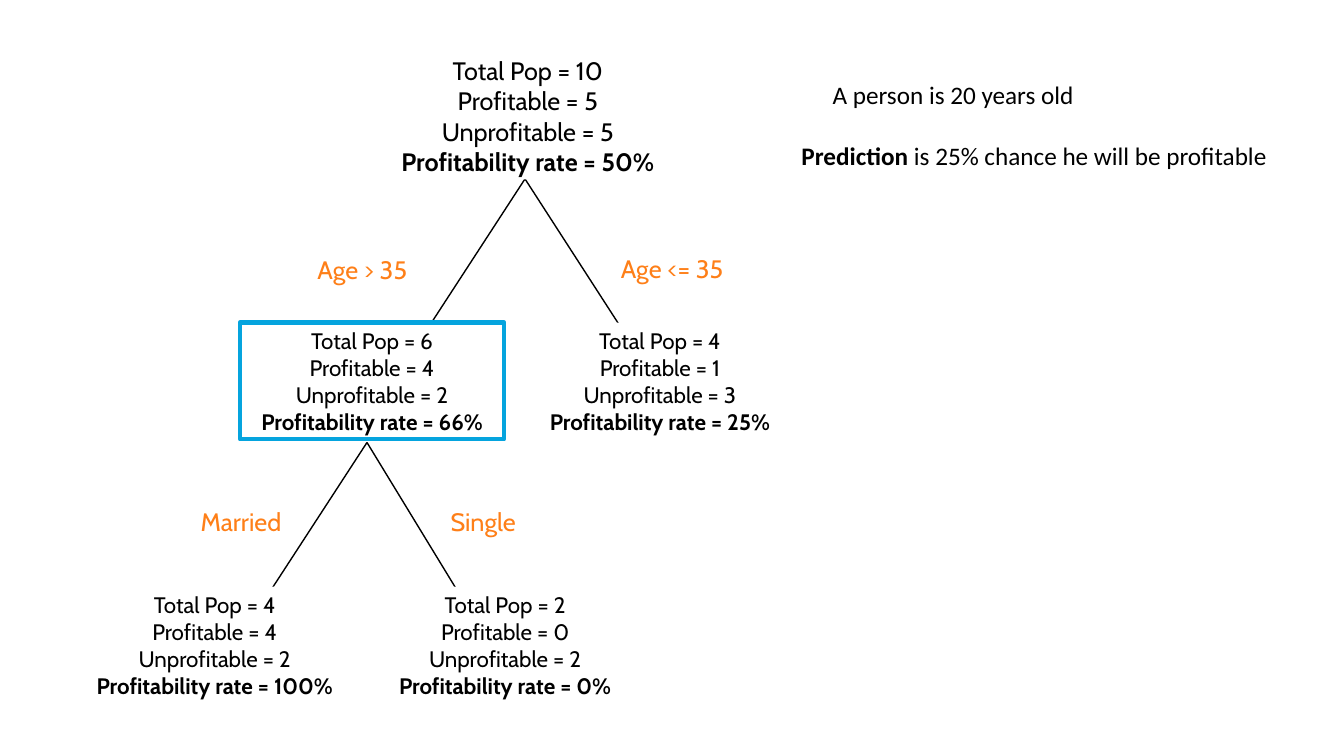
"""Build a slide with a decision tree for customer profitability."""
from lxml import etree
from pptx import Presentation
from pptx import util as u
from pptx.dml.color import RGBColor
from pptx.enum import shapes, text
from pptx.oxml.ns import qn

BLACK, WHITE, ORANGE, BLUE = "000000", "FFFFFF", "FE7F18", "05A4DE"

BRANCHES = [
    ((3.64, 4.39), (4.53, 5.85)),
    ((3.64, 4.39), (2.69, 5.85)),
    ((5.23, 1.74), (4.28, 3.2)),
    ((5.12, 1.64), (6.14, 3.22)),
]
NODES = [
    ((3.66, 0.52, 3.15, 1.26), 18, (10, 5, 5, "50%"), None),
    ((2.38, 3.2, 2.62, 1.16), 16, (6, 4, 2, "66%"), BLUE),
    ((5.24, 3.2, 2.61, 1.16), 16, (4, 1, 3, "25%"), None),
    ((0.75, 5.82, 2.76, 1.16), 16, (4, 4, 2, "100%"), None),
    ((3.7, 5.82, 2.62, 1.16), 16, (2, 0, 2, "0%"), None),
]
MEASURES = ("Total Pop", "Profitable", "Unprofitable", "Profitability rate")
LABELS = [
    ((3.05, 2.47, 1.22, 0.4), "Cabin", ORANGE, [("Age > 35", False)]),
    ((6.06, 2.46, 1.38, 0.4), "Cabin", ORANGE, [("Age <= 35", False)]),
    ((1.89, 4.97, 1.22, 0.4), "Cabin", ORANGE, [("Married", False)]),
    ((4.37, 4.97, 1.22, 0.4), "Cabin", ORANGE, [("Single", False)]),
    ((8.16, 0.74, 4.83, 0.4), "Calibri", BLACK, [("A person is 20 years old", False)]),
    ((7.85, 1.34, 5.14, 0.4), "Calibri", BLACK,
     [("Prediction", True), (" is 25% chance he will be profitable", False)]),
]


def color(value):
    return RGBColor.from_string(value)


def inches(values):
    return [u.Inches(value) for value in values]


def add_run(paragraph, wording, font, size, ink, bold):
    run = paragraph.add_run()
    run.text = wording
    run.font.name = font
    run.font.size = u.Pt(size)
    run.font.bold = bold
    run.font.color.rgb = color(ink)


def add_branch(slide, start, end):
    line = slide.shapes.add_connector(
        shapes.MSO_CONNECTOR.STRAIGHT, *inches(start + end))
    line.line.color.rgb = color(BLACK)
    line.line.width = u.Pt(1)
    etree.SubElement(line._element.spPr, qn("a:effectLst"))


def add_node(slide, box, size, values, outline):
    shape = slide.shapes.add_shape(shapes.MSO_SHAPE.RECTANGLE, *inches(box))
    shape.shadow.inherit = False
    shape.fill.solid()
    shape.fill.fore_color.rgb = color(WHITE)
    if outline:
        shape.line.color.rgb = color(outline)
        shape.line.width = u.Pt(3)
    else:
        shape.line.fill.background()
    frame = shape.text_frame
    frame.word_wrap = True
    frame.vertical_anchor = text.MSO_ANCHOR.MIDDLE
    for index, (measure, value) in enumerate(zip(MEASURES, values)):
        paragraph = frame.add_paragraph() if index else frame.paragraphs[0]
        paragraph.alignment = text.PP_ALIGN.CENTER
        add_run(paragraph, f"{measure} = {value}", "Cabin", size, BLACK,
                measure == MEASURES[-1])


def add_label(slide, box, font, ink, runs):
    frame = slide.shapes.add_textbox(*inches(box)).text_frame
    frame.word_wrap = True
    frame.auto_size = text.MSO_AUTO_SIZE.SHAPE_TO_FIT_TEXT
    for wording, bold in runs:
        add_run(frame.paragraphs[0], wording, font, 18, ink, bold)


def main():
    presentation = Presentation()
    presentation.slide_width = u.Inches(13.33)
    presentation.slide_height = u.Inches(7.5)
    slide = presentation.slides.add_slide(presentation.slide_layouts[6])
    for branch in BRANCHES:
        add_branch(slide, *branch)
    for node in NODES:
        add_node(slide, *node)
    for label in LABELS:
        add_label(slide, *label)
    presentation.save("out.pptx")


if __name__ == "__main__":
    main()
